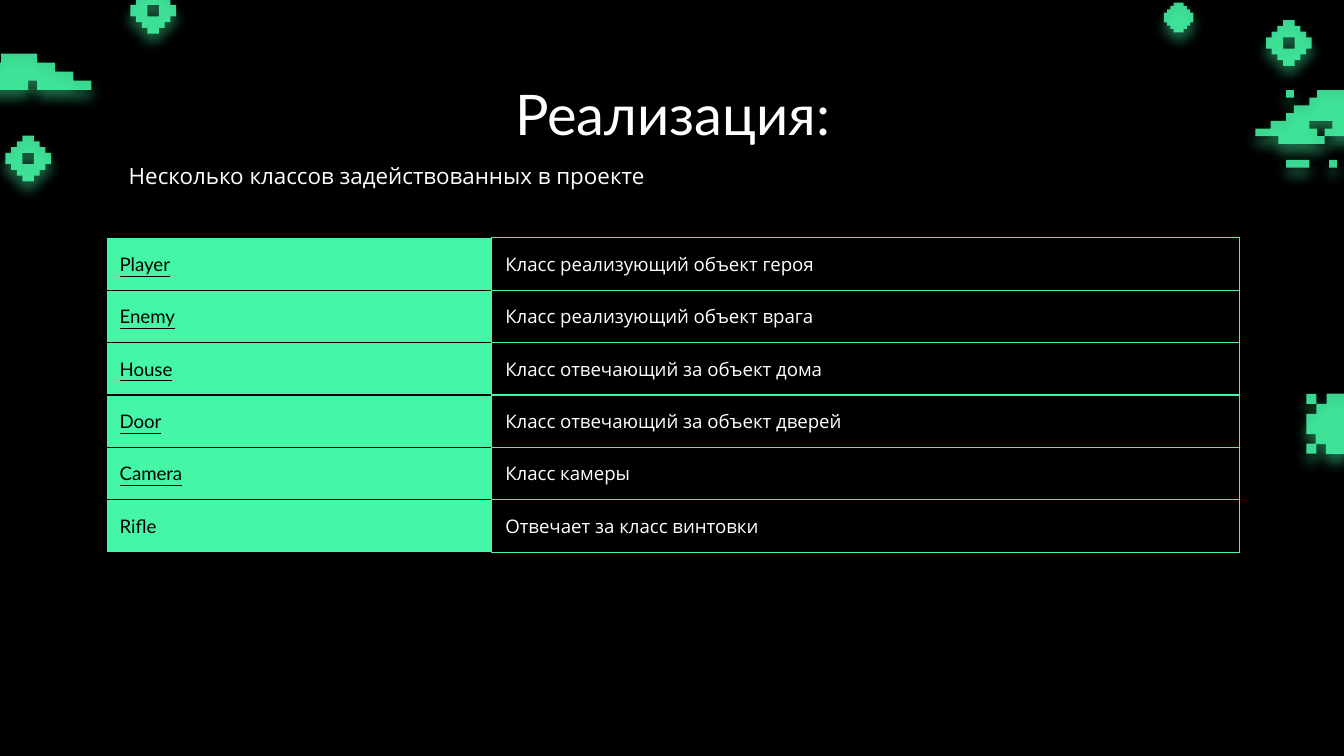
from lxml import etree
from pptx import Presentation
from pptx.dml.color import RGBColor
from pptx.enum.text import MSO_ANCHOR, MSO_AUTO_SIZE, PP_ALIGN
from pptx.oxml import parse_xml
from pptx.oxml.ns import qn
from pptx.util import Inches, Pt

TOP, MIDDLE = MSO_ANCHOR.TOP, MSO_ANCHOR.MIDDLE
LEFT, CENTER = PP_ALIGN.LEFT, PP_ALIGN.CENTER
NO_FIT = MSO_AUTO_SIZE.NONE
NS = "http://schemas.openxmlformats.org/drawingml/2006/main"
COLORS = {"back": "000000", "mint": "44F6A5", "text": "FFFFFF"}


def write(frame, text, font, size, color, align=LEFT):
    frame.text = text
    frame.word_wrap = True
    para = frame.paragraphs[0]
    para.alignment = align
    run = para.runs[0]
    run.font.name = font
    run.font.size = Pt(size)
    run.font.color.rgb = RGBColor.from_string(COLORS[color])
    return run


def outline(spans, top):
    left, right = [], []
    for row, (start, end) in enumerate(spans, top):
        left += [(start, row), (start, row + 1)]
        right += [(end, row), (end, row + 1)]
    return left + right[::-1]


prs = Presentation()
prs.slide_width, prs.slide_height = Inches(10), Inches(10 * 9 / 16)
slide = prs.slides.add_slide(prs.slide_layouts[5])
slide.background.fill.solid()
slide.background.fill.fore_color.rgb = RGBColor.from_string(COLORS["back"])
shapes = slide.shapes

half = [(3, 5), (2, 6), (1, 7), (0, 8)]
gem = [(0, half + half[::-1]), (3, [(3, 5), (3, 5)])]
edge = [(3, 6), (2, 7), (1, 8), (0, 9)]
ball = [(0, edge + [(0, 9)] + edge[::-1])]
cloud = [(0, [(4, 8), (3, 10), (2, 12), (0, 14)]), (3, [(7, 8)])]
dome = [(0, [(2, 4), (1, 5), (0, 6), (0, 6)])]
bowl = [(0, [(0, 4), (1, 3)])]
ship = [
    (0, [(8, 12), (7, 14), (5, 16), (4, 18), (2, 21), (0, 23), (3, 9)]),
    (4, [(7, 10), (8, 9)]),
]
dot = [(0, [(0, 1)])]
dash = [(0, [(0, 3)])]

sprites = [
    (gem, 0.97, -0.09, 0.34 / 8),
    (cloud, -0.26, 0.4, 0.94 / 14),
    (gem, 0.04, 1.01, 0.34 / 8),
    (dome, 9.72, 2.93, 0.45 / 6),
    (bowl, 9.79, 3.23, 0.45 / 6),
    (dot, 9.72, 2.93, 0.45 / 6),
    (dot, 9.72, 3.3, 0.45 / 6),
    (ball, 8.66, 0.02, 0.22 / 9),
    (ship, 9.34, 0.67, 1.32 / 23),
    (dot, 9.89, 1.19, 1.32 / 23),
    (dot, 9.57, 0.67, 1.32 / 23),
    (dash, 9.57, 1.19, 1.32 / 23),
    (gem, 9.42, 0.15, 0.34 / 8),
]
for parts, x, y, unit in sprites:
    loops = [outline(spans, top) for top, spans in parts]
    pen = shapes.build_freeform(*loops[0][0], scale=Inches(unit))
    pen.add_line_segments(loops[0][1:])
    for loop in loops[1:]:
        pen.move_to(*loop[0])
        pen.add_line_segments(loop[1:])
    sprite = pen.convert_to_shape(Inches(x), Inches(y))
    sprite.line.fill.background()
    sprite.fill.solid()
    sprite.fill.fore_color.rgb = RGBColor.from_string(COLORS["mint"])
    props = sprite.fill._xPr
    tint = props.find(qn("a:solidFill"))[0]
    etree.SubElement(tint, qn("a:alpha"), val="87000")
    props.append(parse_xml(
        f'<a:effectLst xmlns:a="{NS}"><a:outerShdw blurRad="{Pt(6.8)}" '
        f'dist="{Pt(4.5)}" dir="5400000" algn="bl" rotWithShape="0">'
        f'<a:srgbClr val="{COLORS["mint"]}"><a:alpha val="50000"/>'
        f'</a:srgbClr></a:outerShdw></a:effectLst>'
    ))

title = shapes.title
note = shapes.add_textbox(0, 0, 0, 0)
for box, x, y, height in ((title, 0.79, 0.49, 0.63), (note, 0.86, 1.11, 0.4)):
    box.left, box.top = Inches(x), Inches(y)
    box.width, box.height = Inches(8.43), Inches(height)
    frame = box.text_frame
    frame.auto_size = NO_FIT
    frame.vertical_anchor = TOP
    frame.margin_left = frame.margin_right = Inches(0.1)
    frame.margin_top = frame.margin_bottom = Inches(0.1)
write(title.text_frame, "Реализация:", "Lato", 30, "text", CENTER)
write(note.text_frame, "Несколько классов задействованных в проекте",
      "Open Sans", 12, "text")

rows = [
    ("Player", "Класс реализующий объект героя"),
    ("Enemy", "Класс реализующий объект врага"),
    ("House", "Класс отвечающий за объект дома"),
    ("Door", "Класс отвечающий за объект дверей"),
    ("Camera", "Класс камеры"),
    ("Rifle", "Отвечает за класс винтовки"),
]
table = shapes.add_table(len(rows), 2, Inches(0.79), Inches(1.77),
                         Inches(8.43), Inches(0.39 * len(rows))).table
table.first_row = table.horz_banding = False
table.columns[0].width, table.columns[1].width = Inches(2.87), Inches(5.56)
for r, texts in enumerate(rows):
    table.rows[r].height = Inches(0.39)
    for c, text in enumerate(texts):
        cell = table.cell(r, c)
        cell.vertical_anchor = MIDDLE
        cell.margin_left = cell.margin_right = Inches(0.1)
        cell.margin_top = cell.margin_bottom = 0
        props = cell._tc.get_or_add_tcPr()
        for side in "LRTB":
            color = COLORS["mint" if c or side == "R" else "back"]
            props.append(parse_xml(
                f'<a:ln{side} xmlns:a="{NS}" w="{Pt(0.75)}"><a:solidFill>'
                f'<a:srgbClr val="{color}"/></a:solidFill></a:ln{side}>'
            ))
        if c:
            cell.fill.background()
            write(cell.text_frame, text, "Open Sans", 10, "text")
            if texts[0] != "Camera":
                cell.text_frame.paragraphs[0].space_after = Pt(16)
        else:
            cell.fill.solid()
            cell.fill.fore_color.rgb = RGBColor.from_string(COLORS["mint"])
            run = write(cell.text_frame, text, "Lato", 10, "back")
            run.font.underline = text != "Rifle"

prs.save("out.pptx")
